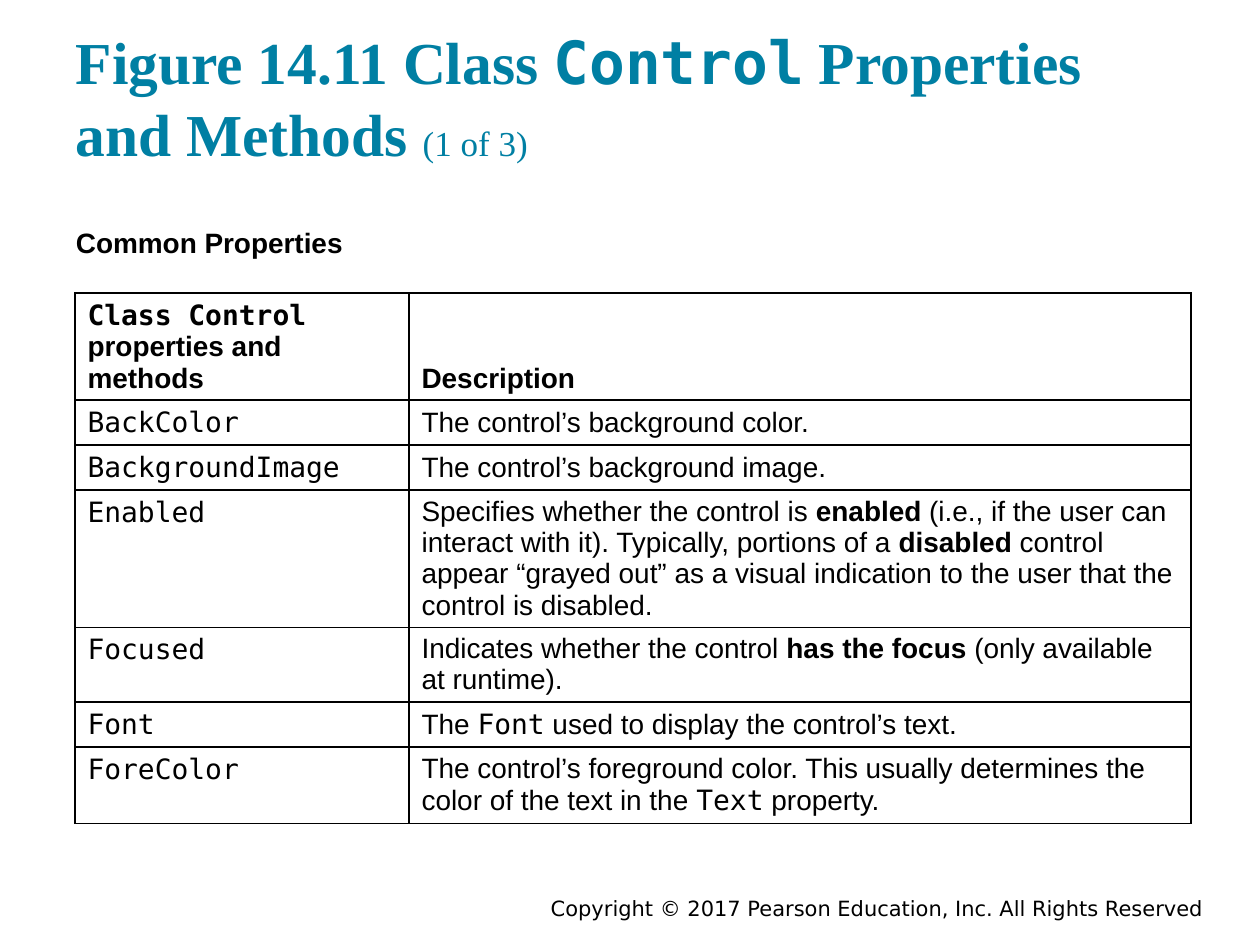
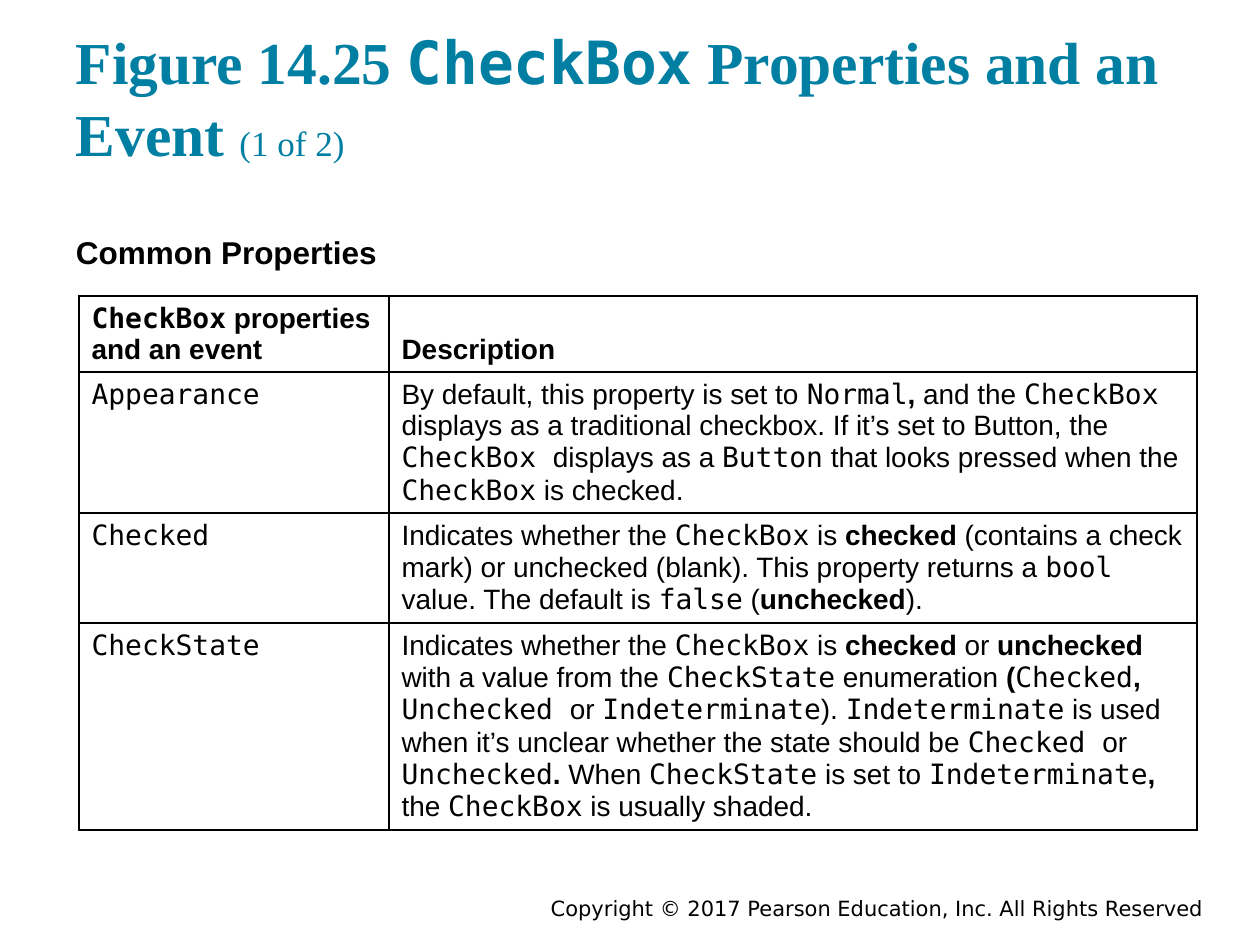
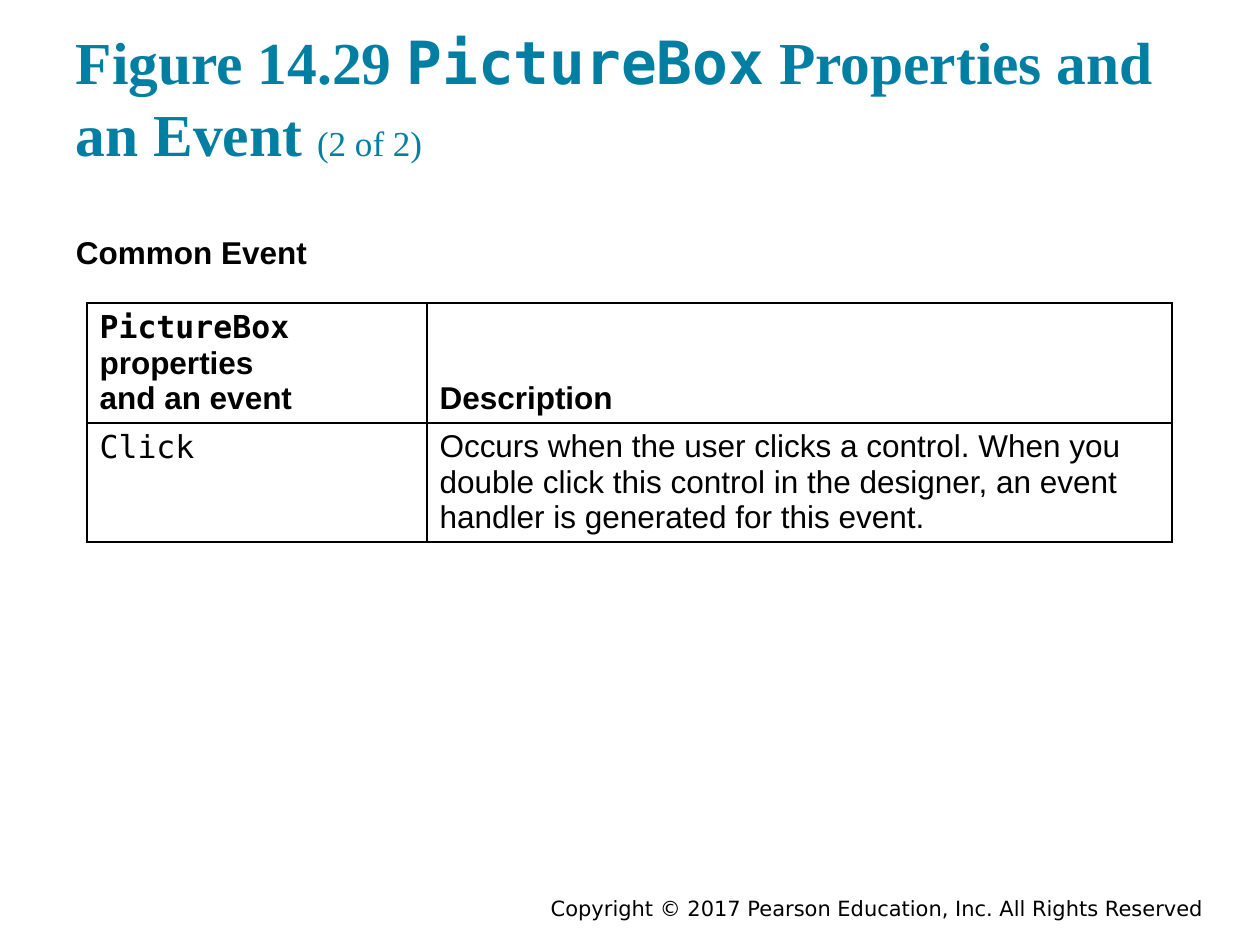
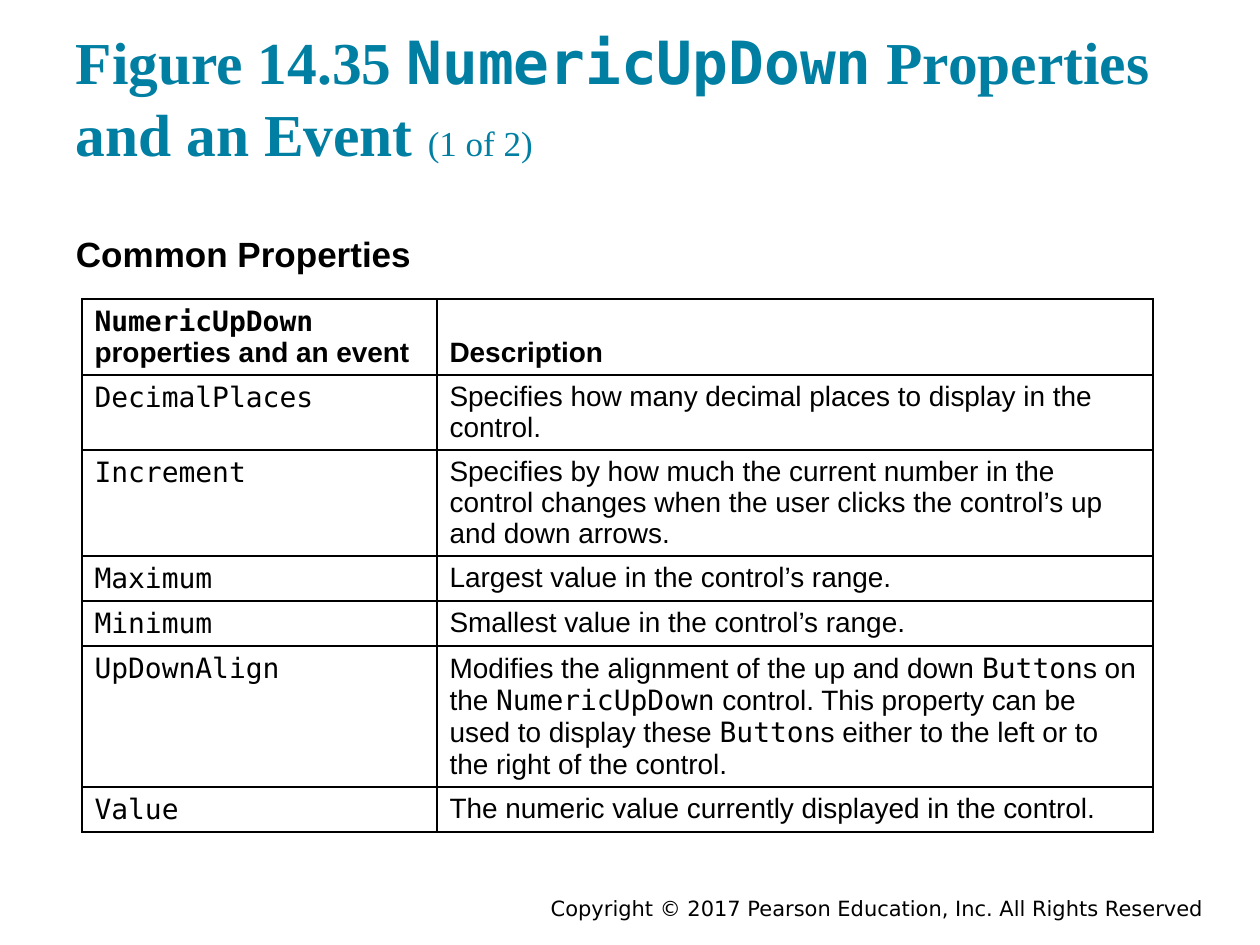
from dataclasses import dataclass

from lxml.etree import SubElement
from pptx import Presentation
from pptx.dml.color import RGBColor
from pptx.enum.text import MSO_ANCHOR, MSO_AUTO_SIZE, PP_ALIGN
from pptx.oxml.ns import qn
from pptx.util import Emu, Pt


@dataclass(frozen=True)
class Theme:
    teal: str = "007FA3"
    black: str = "000000"
    serif: str = "Times New Roman"
    sans: str = "Arial"
    mono: str = "DejaVu Sans Mono"
    foot: str = "DejaVu Sans"
    head_size: int = 34
    part_size: int = 20
    foot_size: int = 12
    rule: int = 1


THEME = Theme()
RIGHTS = "Copyright © 2017 Pearson Education, Inc. All Rights Reserved"

PAGES = [
    dict(
        title="Figure 14.11 Class `Control` Properties and Methods ",
        part="(1 of 3)",
        label="Common Properties", label_size=16, label_box=(63, 213, 1134, 48),
        spot=(75, 293), cols=(334, 782), size=16, anchor=MSO_ANCHOR.MIDDLE,
        heights=(107, 45, 45, 137, 75, 45, 76),
        rows=[
            ("`Class Control`\nproperties and methods", "Description"),
            ("`BackColor`", "The control’s background color."),
            ("`BackgroundImage`", "The control’s background image."),
            ("`Enabled`",
             "Specifies whether the control is *enabled* (i.e., if the user can "
             "interact with it). Typically, portions of a *disabled* control "
             "appear “grayed out” as a visual indication to the user that the "
             "control is disabled."),
            ("`Focused`",
             "Indicates whether the control *has the focus *(only available "
             "at runtime)."),
            ("`Font`", "The `Font` used to display the control’s text."),
            ("`ForeColor`",
             "The control’s foreground color. This usually determines the "
             "color of the text in the `Text` property."),
        ],
    ),
    dict(
        title="Figure 14.25 `CheckBox` Properties and an Event ",
        part="(1 of 2)",
        label="Common Properties", label_size=18, label_box=(63, 220, 1134, 76),
        spot=(79, 296), cols=(310, 808), size=16, anchor=MSO_ANCHOR.TOP,
        heights=(76, 141, 110, 206),
        rows=[
            ("`CheckBox` properties\nand an event", "Description"),
            ("`Appearance`",
             "By default, this property is set to `Normal`*,* and the `CheckBox` "
             "displays as a traditional checkbox. If it’s set to Button, the "
             "`CheckBox `displays as a `Button` that looks pressed when the "
             "`CheckBox` is checked."),
            ("`Checked`",
             "Indicates whether the `CheckBox` is *checked *(contains a check "
             "mark) or unchecked (blank). This property returns a `bool` "
             "value. The default is `false` (*unchecked*)."),
            ("`CheckState`",
             "Indicates whether the `CheckBox` is *checked* or *unchecked* "
             "with a value from the `CheckState` enumeration *(*`Checked`*, *"
             "`Unchecked `or `Indeterminate`). `Indeterminate` is used "
             "when it’s unclear whether the state should be `Checked `or "
             "`Unchecked`*.* When `CheckState` is set to `Indeterminate`*, *"
             "the `CheckBox` is usually shaded."),
        ],
    ),
    dict(
        title="Figure 14.29 `PictureBox` Properties and an Event ",
        part="(2 of 2)",
        label="Common Event", label_size=18, label_box=(63, 220, 1134, 52),
        spot=(87, 303), cols=(340, 745), size=18, anchor=MSO_ANCHOR.TOP,
        heights=(120, 119),
        rows=[
            ("`PictureBox `properties\nand an event", "Description"),
            ("`Click`",
             "Occurs when the user clicks a control. When you double click "
             "this control in the designer, an event handler is generated "
             "for this event."),
        ],
    ),
    dict(
        title="Figure 14.35 `NumericUpDown` Properties and an Event ",
        part="(1 of 2)",
        label="Common Properties", label_size=20, label_box=(63, 220, 1134, 52),
        spot=(82, 299), cols=(355, 716), size=16, anchor=MSO_ANCHOR.TOP,
        heights=(76, 75, 106, 45, 45, 141, 45),
        rows=[
            ("`NumericUpDown`\nproperties and an event", "Description"),
            ("`DecimalPlaces`",
             "Specifies how many decimal places to display in the control."),
            ("`Increment`",
             "Specifies by how much the current number in the control changes "
             "when the user clicks the control’s up and down arrows."),
            ("`Maximum`", "Largest value in the control’s range."),
            ("`Minimum`", "Smallest value in the control’s range."),
            ("`UpDownAlign`",
             "Modifies the alignment of the up and down `Button`s on the "
             "`NumericUpDown` control. This property can be used to display "
             "these `Button`s either to the left or to the right of the "
             "control."),
            ("`Value`", "The numeric value currently displayed in the control."),
        ],
    ),
]


def px(count):
    return Emu(round(count * 914400 / 126))


def add_run(para, text, face, size, tint, bold=False):
    run = para.add_run()
    run.text = text
    font = run.font
    font.name, font.size, font.bold = face, Pt(size), bold
    font.color.rgb = RGBColor.from_string(tint)


def add_rich(para, text, face, size, tint, bold=False):
    for i, chunk in enumerate(text.split("`")):
        code = i % 2 == 1
        for j, piece in enumerate(chunk.split("*")):
            if piece:
                add_run(para, piece, THEME.mono if code else face, size, tint,
                        bold or j % 2 == 1)


def place(shape, box):
    shape.left, shape.top, shape.width, shape.height = map(px, box)


def set_frame(frame, anchor, inset=None):
    frame.word_wrap = True
    frame.auto_size = MSO_AUTO_SIZE.NONE
    frame.vertical_anchor = anchor
    if inset is not None:
        frame.margin_left = frame.margin_right = px(inset)
        frame.margin_top = frame.margin_bottom = px(inset)
    return frame.paragraphs[0]


def add_title(slide, text, part):
    shape = slide.shapes.title
    place(shape, (63, 30, 1134, 151))
    para = set_frame(shape.text_frame, MSO_ANCHOR.BOTTOM, 13)
    para.alignment = PP_ALIGN.LEFT
    add_rich(para, text, THEME.serif, THEME.head_size, THEME.teal, True)
    add_run(para, part, THEME.serif, THEME.part_size, THEME.teal)


def add_label(slide, text, size, box):
    shape = slide.shapes.add_textbox(*map(px, box))
    para = set_frame(shape.text_frame, MSO_ANCHOR.TOP, 13)
    add_run(para, text, THEME.sans, size, THEME.black, True)


def add_foot(slide):
    shape = slide.shapes.add_textbox(*map(px, (378, 892, 838, 32)))
    para = set_frame(shape.text_frame, MSO_ANCHOR.MIDDLE)
    para.alignment = PP_ALIGN.RIGHT
    add_run(para, RIGHTS, THEME.foot, THEME.foot_size, THEME.black)


def add_edges(cell):
    props = cell._tc.get_or_add_tcPr()
    for side in ("a:lnL", "a:lnR", "a:lnT", "a:lnB"):
        line = SubElement(props, qn(side), w=str(Pt(THEME.rule)))
        fill = SubElement(line, qn("a:solidFill"))
        SubElement(fill, qn("a:srgbClr"), val=THEME.black)


def fill_cell(cell, text, size, bold, anchor):
    add_edges(cell)
    cell.fill.background()
    cell.vertical_anchor = anchor
    frame = cell.text_frame
    for i, line in enumerate(text.split("\n")):
        para = frame.add_paragraph() if i else frame.paragraphs[0]
        add_rich(para, line, THEME.sans, size, THEME.black, bold)


def add_grid(slide, rows, spot, cols, heights, size, anchor):
    box = (*spot, sum(cols), sum(heights))
    table = slide.shapes.add_table(len(rows), len(cols), *map(px, box)).table
    table.first_row = table.horz_banding = False
    for col, width in zip(table.columns, cols):
        col.width = px(width)
    for r, (row, height) in enumerate(zip(rows, heights)):
        table.rows[r].height = px(height)
        for c, text in enumerate(row):
            head = r == 0
            hold = MSO_ANCHOR.BOTTOM if head else anchor if c else MSO_ANCHOR.TOP
            fill_cell(table.cell(r, c), text, size, head, hold)


def add_page(deck, page):
    slide = deck.slides.add_slide(deck.slide_layouts[5])
    add_foot(slide)
    add_title(slide, page["title"], page["part"])
    add_label(slide, page["label"], page["label_size"], page["label_box"])
    add_grid(slide, page["rows"], page["spot"], page["cols"],
             page["heights"], page["size"], page["anchor"])


def main():
    deck = Presentation()
    deck.slide_width, deck.slide_height = px(1260), px(945)
    for page in PAGES:
        add_page(deck, page)
    deck.save("out.pptx")


if __name__ == "__main__":
    main()
